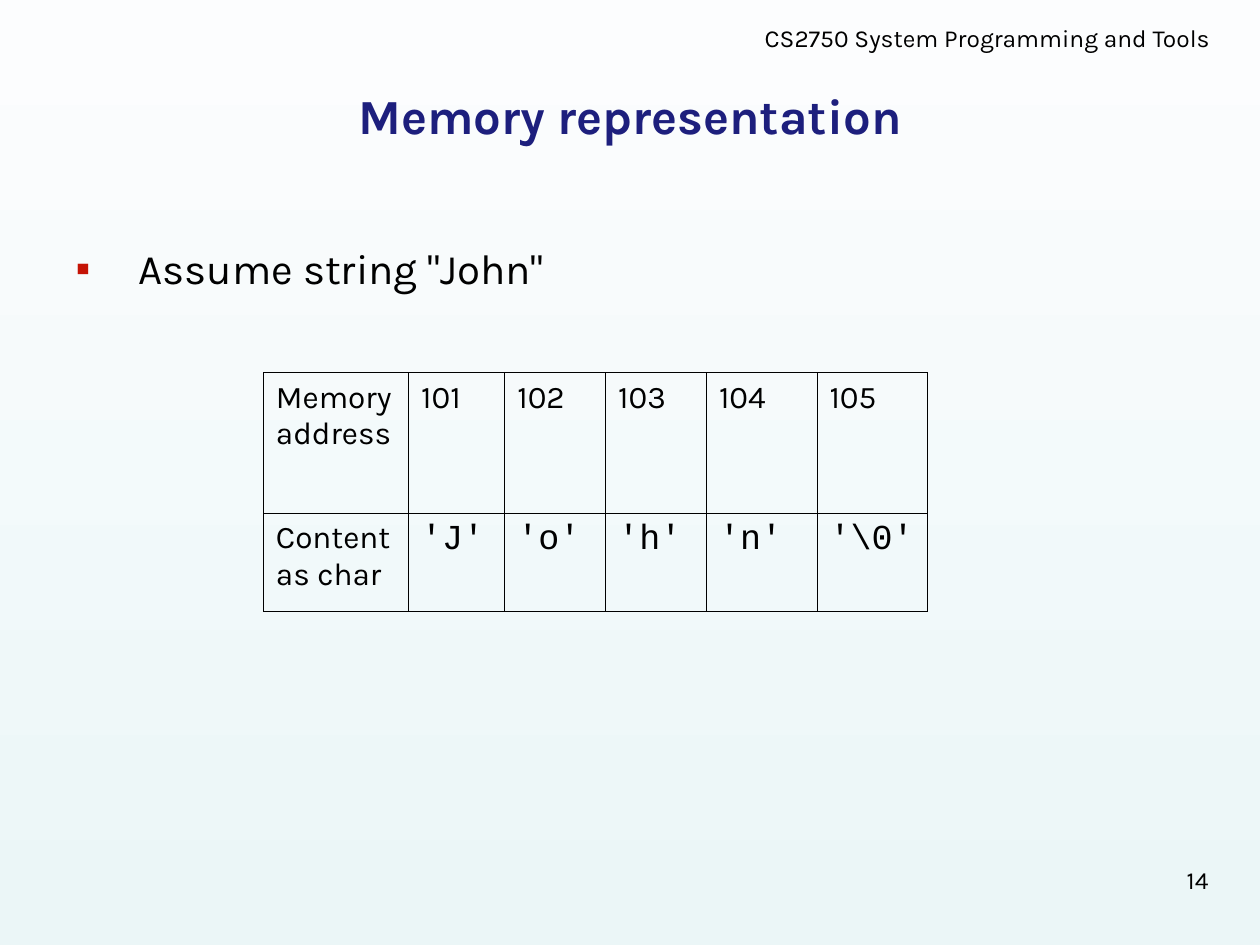
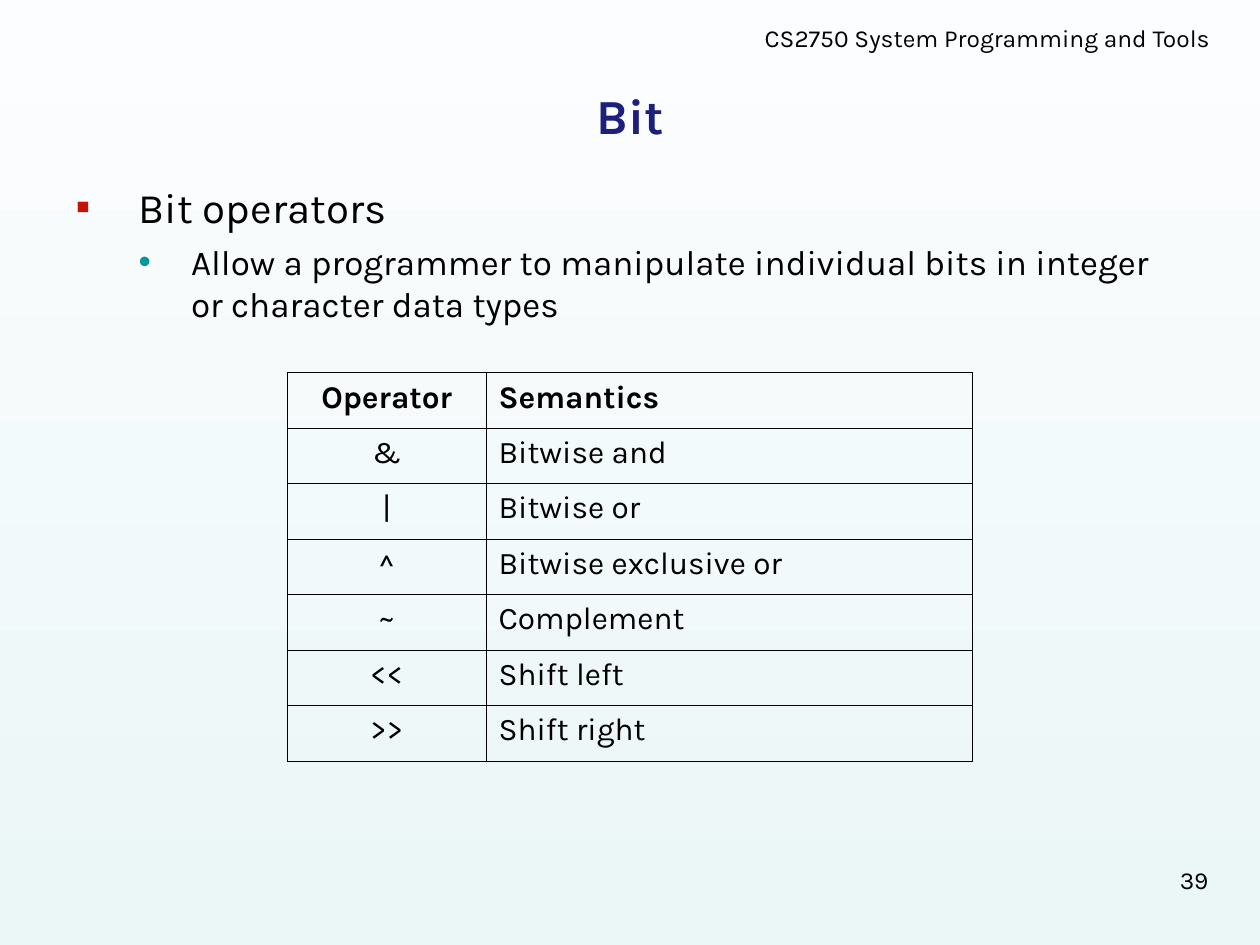
from dataclasses import dataclass

from pptx import Presentation
from pptx.dml.color import RGBColor
from pptx.enum.text import MSO_ANCHOR, MSO_AUTO_SIZE, PP_ALIGN
from pptx.oxml import parse_xml
from pptx.oxml.ns import nsdecls
from pptx.util import Pt


@dataclass(frozen=True)
class Theme:
    font: str = "Karla"
    code_font: str = "Courier New"
    text: str = "000000"
    title: str = "1D1F7D"
    background_top: str = "FCFDFE"
    background_bottom: str = "EBF6F7"
    title_size: float = 28
    table_size: float = 18
    code_size: float = 20
    small_size: float = 14
    border_width: float = 0.45


@dataclass(frozen=True)
class BulletLevel:
    symbol: str
    color: str
    size: float
    margin: float
    hanging: float
    space_before: float


THEME = Theme()
BULLET_LEVELS = (
    BulletLevel("▪", "C51305", 24, 36, 36, 6),
    BulletLevel("•", "009999", 20, 66, 30, 5),
)
COURSE = "CS2750 System Programming and Tools"
TABLE_TOP = 213
BODY_TOP = 100
BODY_BOTTOM = 482


def place(shape, left, top, width, height):
    shape.left, shape.top = Pt(left), Pt(top)
    shape.width, shape.height = Pt(width), Pt(height)


def add_run(paragraph, text, size, color=THEME.text, font=THEME.font, bold=False):
    run = paragraph.add_run()
    run.text = text
    run.font.name = font
    run.font.size = Pt(size)
    run.font.bold = bold
    run.font.color.rgb = RGBColor.from_string(color)


def paragraphs_for(frame, items):
    """Pair each item with its own paragraph, starting with the one already there."""
    for index, item in enumerate(items):
        yield (frame.add_paragraph() if index else frame.paragraphs[0]), item


def set_background(master):
    fill = master.background.fill
    fill.gradient()
    fill.gradient_angle = 270
    colors = (THEME.background_top, THEME.background_bottom)
    for stop, color, position in zip(fill.gradient_stops, colors, (0, 1)):
        stop.color.rgb = RGBColor.from_string(color)
        stop.position = position


def add_label(slide, text, bounds, alignment):
    label = slide.shapes.add_textbox(*map(Pt, bounds))
    label.text_frame.word_wrap = True
    paragraph = label.text_frame.paragraphs[0]
    paragraph.alignment = alignment
    add_run(paragraph, text, THEME.small_size)


def set_title(slide, text):
    title = slide.shapes.title
    place(title, 36, 43, 648, 45.5)
    frame = title.text_frame
    frame.auto_size = MSO_AUTO_SIZE.NONE
    frame.vertical_anchor = MSO_ANCHOR.MIDDLE
    paragraph = frame.paragraphs[0]
    paragraph.alignment = PP_ALIGN.CENTER
    add_run(paragraph, text, THEME.title_size, THEME.title, bold=True)


def set_bullets(slide, bullets, top):
    """Fill the body placeholder with (level, text) pairs."""
    body = slide.placeholders[1]
    place(body, 36, top, 648, BODY_BOTTOM - top)
    frame = body.text_frame
    frame.auto_size = MSO_AUTO_SIZE.NONE
    for index, (paragraph, (level, text)) in enumerate(paragraphs_for(frame, bullets)):
        style = BULLET_LEVELS[level]
        properties = paragraph._p.get_or_add_pPr()
        properties.set("marL", str(Pt(style.margin)))
        properties.set("indent", str(-Pt(style.hanging)))
        for xml in (
            f'<a:buClr {nsdecls("a")}><a:srgbClr val="{style.color}"/></a:buClr>',
            f'<a:buChar {nsdecls("a")} char="{style.symbol}"/>',
        ):
            properties.append(parse_xml(xml))
        paragraph.level = level
        paragraph.space_before = Pt(style.space_before if index else 0)
        add_run(paragraph, text, style.size)


def add_borders(cell):
    properties = cell._tc.get_or_add_tcPr()
    for side in "LRTB":
        properties.append(parse_xml(
            f'<a:ln{side} {nsdecls("a")} w="{Pt(THEME.border_width)}">'
            f'<a:solidFill><a:srgbClr val="{THEME.text}"/></a:solidFill></a:ln{side}>'
        ))


def add_grid(slide, left, columns, heights, rows, style_cell):
    """Add a ruled table; style_cell(row, column) gives alignment and run formatting."""
    table = slide.shapes.add_table(
        len(rows), len(columns), Pt(left), Pt(TABLE_TOP), Pt(sum(columns)), Pt(sum(heights))
    ).table
    table.first_row = table.horz_banding = False
    for column, width in zip(table.columns, columns):
        column.width = Pt(width)
    for row, height in zip(table.rows, heights):
        row.height = Pt(height)
    for row_index, texts in enumerate(rows):
        for column_index, text in enumerate(texts):
            cell = table.cell(row_index, column_index)
            add_borders(cell)
            cell.fill.background()
            alignment, run_style = style_cell(row_index, column_index)
            for paragraph, line in paragraphs_for(cell.text_frame, text.split("\n")):
                paragraph.alignment = alignment
                add_run(paragraph, line, **run_style)


def memory_style(row, column):
    if row and column:
        return PP_ALIGN.LEFT, {"size": THEME.code_size, "font": THEME.code_font}
    return PP_ALIGN.LEFT, {"size": THEME.table_size}


def operator_style(row, column):
    alignment = PP_ALIGN.LEFT if column else PP_ALIGN.CENTER
    return alignment, {"size": THEME.table_size, "bold": row == 0}


def add_content_slide(presentation, title, number, bullets, body_top=BODY_TOP):
    slide = presentation.slides.add_slide(presentation.slide_layouts[1])
    add_label(slide, COURSE, (417, 9.4, 294.5, 21.6), PP_ALIGN.CENTER)
    set_title(slide, title)
    set_bullets(slide, bullets, body_top)
    add_label(slide, str(number), (530, 491, 167.7, 37.4), PP_ALIGN.RIGHT)
    return slide


def add_memory_slide(presentation):
    slide = add_content_slide(
        presentation, "Memory representation", 14, [(0, 'Assume string "John"')], BODY_TOP + 35
    )
    addresses = ["Memory address", *map(str, range(101, 106))]
    contents = ["Content\nas char", *(f"'{char}'" for char in ("J", "o", "h", "n", r"\0"))]
    columns = (83, 55, 57.6, 57.6, 63.2, 63.2)
    add_grid(slide, 150.5, columns, (80.5, 56), (addresses, contents), memory_style)


def add_operator_slide(presentation):
    slide = add_content_slide(presentation, "Bit", 39, [
        (0, "Bit operators"),
        (1, "Allow a programmer to manipulate individual bits in integer or character data types"),
    ])
    operators = (
        ("Operator", "Semantics"),
        ("&", "Bitwise and"),
        ("|", "Bitwise or"),
        ("^", "Bitwise exclusive or"),
        ("~", "Complement"),
        ("<<", "Shift left"),
        (">>", "Shift right"),
    )
    heights = [31.7] * len(operators)
    add_grid(slide, 164.2, (113.5, 278), heights, operators, operator_style)


def main():
    presentation = Presentation()
    presentation.slide_width, presentation.slide_height = Pt(720), Pt(540)
    set_background(presentation.slide_master)
    add_memory_slide(presentation)
    add_operator_slide(presentation)
    presentation.save("out.pptx")


if __name__ == "__main__":
    main()
